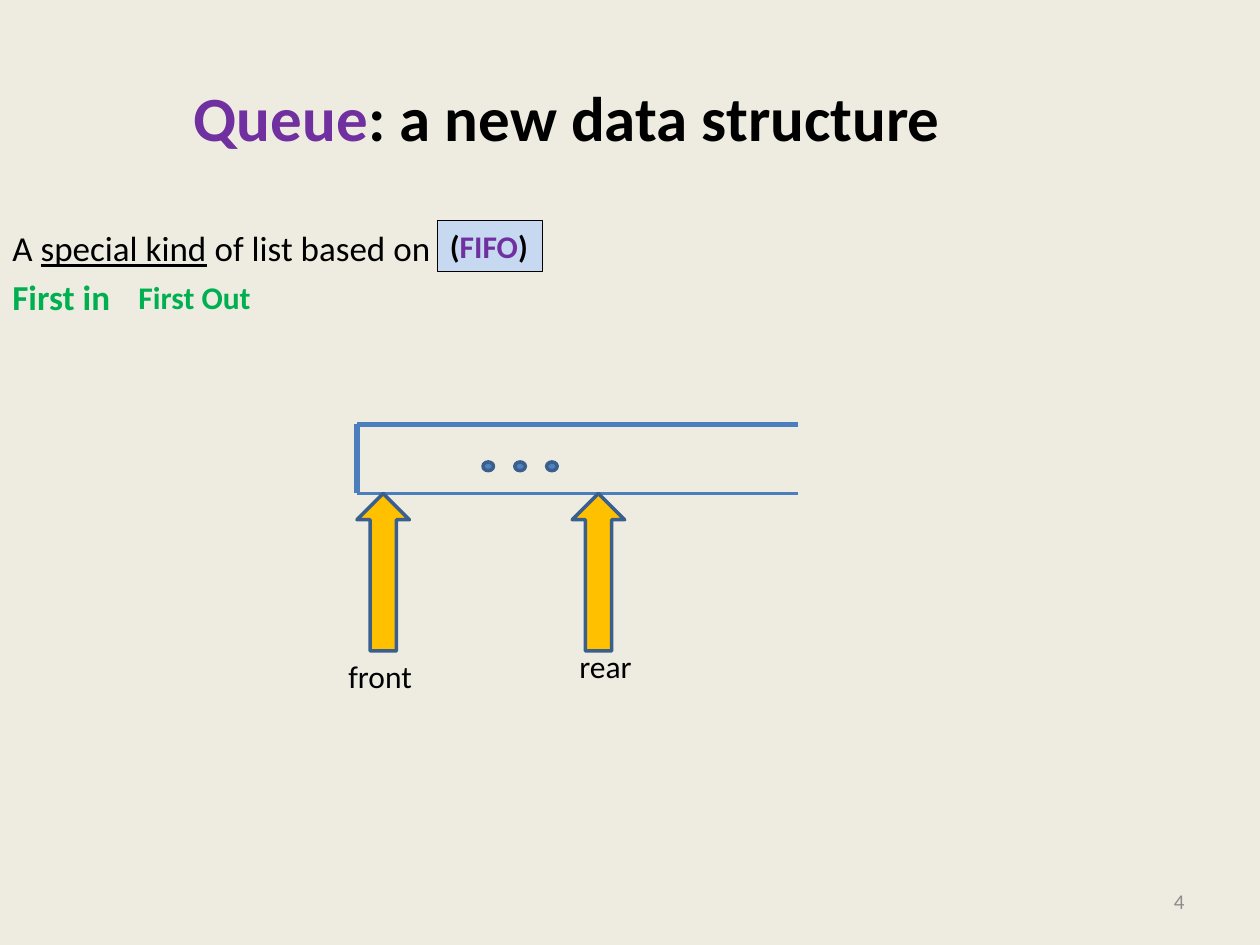
from pptx import Presentation
from pptx.dml.color import RGBColor
from pptx.enum.shapes import MSO_CONNECTOR as CONN, MSO_SHAPE as SHAPE
from pptx.enum.text import MSO_ANCHOR as ANCHOR, PP_ALIGN as ALIGN
from pptx.oxml.ns import qn
from pptx.util import Pt

COLORS = {
    "background": "EEECE1", "text": "000000", "number": "8C8C8C",
    "purple": "7030A0", "green": "00B050", "rail": "4B7EBC",
    "dot": "4F81BD", "outline": "3A5F8C", "arrow": "FFC000", "badge": "C6D9F1",
}


def rgb(name):
    """Return the named colour."""
    return RGBColor.from_string(COLORS[name])


def add_runs(p, runs, size, bold=False):
    """Add (text, colour) runs to a paragraph."""
    for text, color in runs:
        r = p.add_run()
        r.text = text
        r.font.name, r.font.size, r.font.bold = "Calibri", Pt(size), bold
        r.font.color.rgb = rgb(color)


def add_text(shapes, box, runs, size, bold=False, wrap=False,
             align=ALIGN.LEFT, anchor=ANCHOR.TOP):
    """Add a text box with one paragraph and return its frame."""
    tf = shapes.add_textbox(*map(Pt, box)).text_frame
    tf.word_wrap, tf.vertical_anchor = wrap, anchor
    tf.paragraphs[0].alignment = align
    add_runs(tf.paragraphs[0], runs, size, bold)
    return tf


def add_shape(shapes, kind, box, fill, line, width):
    """Add a filled and outlined preset shape."""
    sp = shapes.add_shape(kind, *map(Pt, box))
    sp.shadow.inherit = False
    sp.fill.solid()
    sp.fill.fore_color.rgb = rgb(fill)
    sp.line.color.rgb = rgb(line)
    sp.line.width = Pt(width)
    return sp


def add_rail(shapes, start, end, width):
    """Add one straight side of the queue."""
    line = shapes.add_connector(CONN.STRAIGHT, *map(Pt, (*start, *end)))
    line.line.color.rgb = rgb("rail")
    line.line.width = Pt(width)
    sp_pr = line._element.spPr
    sp_pr.append(sp_pr.makeelement(qn("a:effectLst"), {}))


def add_definition(s, x, y, w, h):
    """Write the definition with its FIFO badge."""
    tf = add_text(s.shapes, (x, y, w, h), [
        ("A ", "text"), ("special kind", "text"),
        (" of list based on", "text")], 20, wrap=True)
    tf.paragraphs[0].runs[1].font.underline = True
    p = tf.add_paragraph()
    p.space_before = Pt(4)
    add_runs(p, [("First in", "green")], 20, True)
    add_text(s.shapes, (x + 72, y + 29.5, 79, 29),
             [("First Out", "green")], 18, True)

    badge = add_shape(s.shapes, SHAPE.RECTANGLE, (x + 250, y, 60, 29),
                      "badge", "text", 0.75)
    tf = badge.text_frame
    tf.word_wrap, tf.vertical_anchor = False, ANCHOR.TOP
    tf.paragraphs[0].alignment = ALIGN.LEFT
    add_runs(tf.paragraphs[0],
             [("(", "text"), ("FIFO", "purple"), (")", "text")], 18, True)


def add_queue(s, x, y, w, h):
    """Draw the open-ended queue with its dots."""
    rails = s.shapes.add_group_shape().shapes
    add_rail(rails, (x, y), (x + w, y), 3)
    add_rail(rails, (x + w, y + h), (x, y + h), 2.25)
    add_rail(rails, (x, y + h), (x, y), 3)
    dots = s.shapes.add_group_shape().shapes
    for i in range(3):
        add_shape(dots, SHAPE.OVAL, (x + 72 + 18.2 * i, y + 21.5, 6, 5),
                  "dot", "outline", 2)


def add_pointer(s, x, y, w, h, label, label_box):
    """Draw an arrow into the queue with a label placed relative to its foot."""
    shapes = s.shapes.add_group_shape().shapes
    add_shape(shapes, SHAPE.UP_ARROW, (x, y, w, h), "arrow", "outline", 2)
    dx, dy, label_w = label_box
    add_text(shapes, (x + dx, y + h + dy, label_w, 29), [(label, "text")], 18)


def main():
    """Build the queue slide."""
    prs = Presentation()
    prs.slide_width, prs.slide_height = Pt(720), Pt(540)
    s = prs.slides.add_slide(prs.slide_layouts[6])
    s.background.fill.solid()
    s.background.fill.fore_color.rgb = rgb("background")

    add_text(s.shapes, (516, 500.5, 168, 28.75), [("4", "number")], 12,
             wrap=True, align=ALIGN.RIGHT, anchor=ANCHOR.MIDDLE)
    add_text(s.shapes, (0, 21.6, 648, 90),
             [("Queue", "purple"), (": a new data structure", "text")], 36,
             True, True, ALIGN.CENTER, ANCHOR.MIDDLE)
    add_definition(s, 0, 126, 648, 356.4)
    add_queue(s, 204, 242.5, 252, 39.5)
    add_pointer(s, 204, 282, 30, 90, "front", (-12, 0, 51))
    add_pointer(s, 327, 282, 30, 90, "rear", (-3, -6, 45))
    prs.save("out.pptx")


if __name__ == "__main__":
    main()
